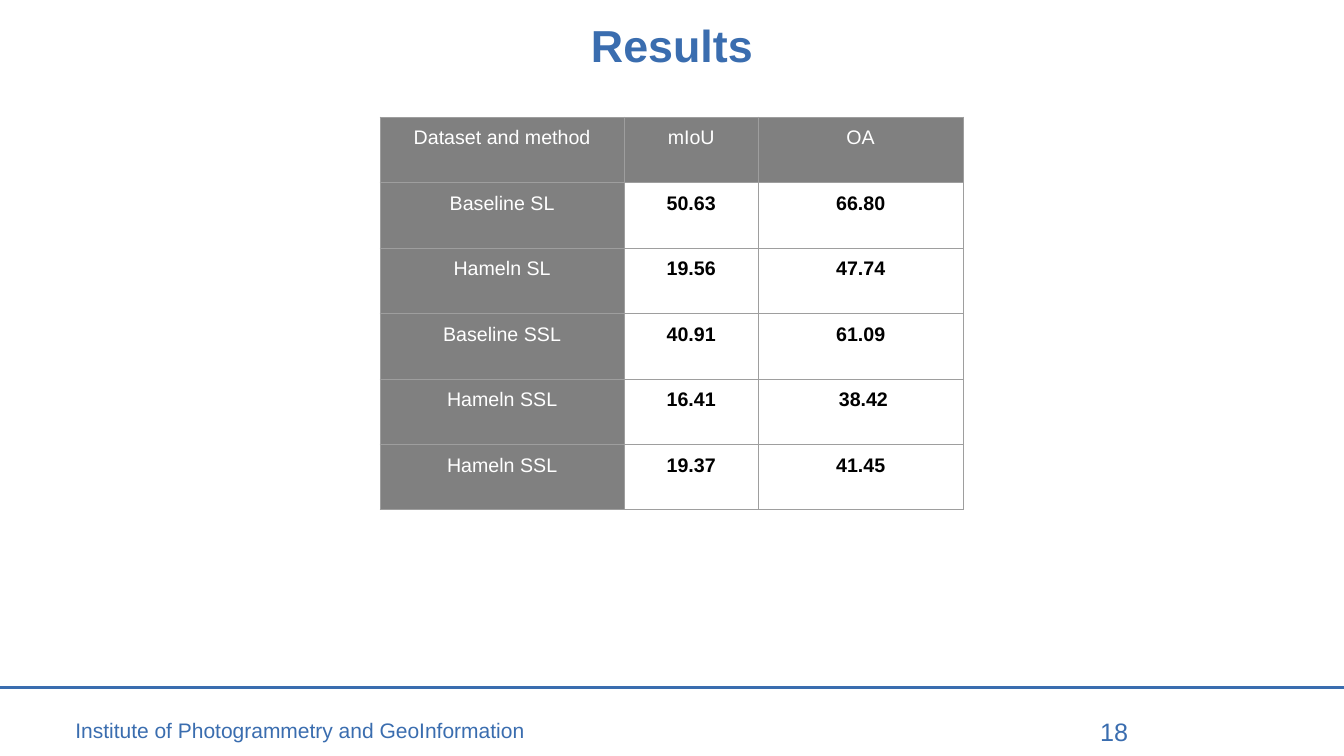
from lxml import etree
from pptx import Presentation
from pptx import util as u
from pptx.dml.color import RGBColor
from pptx.enum import shapes, text
from pptx.oxml import ns

BLUE = RGBColor(0x3A, 0x6D, 0xAF)
GREY = RGBColor(0x80, 0x80, 0x80)
BORDER = RGBColor(0x9E, 0x9E, 0x9E)
WHITE = RGBColor(0xFF, 0xFF, 0xFF)
BLACK = RGBColor(0x00, 0x00, 0x00)

PAGE_WIDTH, PAGE_HEIGHT = 33.87, 19.05
COLUMN_WIDTHS = (6.15, 3.38, 5.16)
ROW_HEIGHT = 1.65
RESULTS = (
    ("Dataset and method", "mIoU", "OA"),
    ("Baseline SL", "50.63", "66.80"),
    ("Hameln SL", "19.56", "47.74"),
    ("Baseline SSL", "40.91", "61.09"),
    ("Hameln SSL", "16.41", " 38.42"),
    ("Hameln SSL", "19.37", "41.45"),
)


def add_span(frame, words, size, color, bold=False, align=text.PP_ALIGN.LEFT):
    """Write one run into the first paragraph of a text frame."""
    para = frame.paragraphs[0]
    para.alignment = align
    span = para.add_run()
    span.text = words
    span.font.name = "Arial"
    span.font.size = u.Pt(size)
    span.font.bold = bold
    span.font.color.rgb = color


def add_label(page, left, top, width, height, words, size, inset=(0.25, 0.13), **style):
    """Place a blue one-line text box."""
    frame = page.shapes.add_textbox(u.Cm(left), u.Cm(top), u.Cm(width), u.Cm(height)).text_frame
    frame.word_wrap = True
    frame.vertical_anchor = text.MSO_ANCHOR.MIDDLE
    frame.margin_left = frame.margin_right = u.Cm(inset[0])
    frame.margin_top = frame.margin_bottom = u.Cm(inset[1])
    add_span(frame, words, size, BLUE, **style)


def add_borders(cell):
    """Draw a thin line on all four sides of a cell."""
    properties = cell._tc.get_or_add_tcPr()
    for position, side in enumerate(("a:lnL", "a:lnR", "a:lnT", "a:lnB")):
        line = etree.Element(ns.qn(side), w=str(u.Pt(0.75)))
        fill = etree.SubElement(line, ns.qn("a:solidFill"))
        etree.SubElement(fill, ns.qn("a:srgbClr"), val=str(BORDER))
        properties.insert(position, line)


def add_results_table(page, left, top):
    """Place the table of scores with grey header row and column."""
    table = page.shapes.add_table(
        len(RESULTS), len(COLUMN_WIDTHS), u.Cm(left), u.Cm(top),
        u.Cm(sum(COLUMN_WIDTHS)), u.Cm(ROW_HEIGHT * len(RESULTS))).table
    table.first_row = table.horz_banding = False
    for column, width in zip(table.columns, COLUMN_WIDTHS):
        column.width = u.Cm(width)
    for row_index, row in enumerate(RESULTS):
        table.rows[row_index].height = u.Cm(ROW_HEIGHT)
        for column_index, words in enumerate(row):
            cell = table.cell(row_index, column_index)
            heading = row_index == 0 or column_index == 0
            cell.margin_left = cell.margin_right = u.Cm(0.25)
            cell.margin_top = cell.margin_bottom = u.Cm(0.25)
            if heading:
                cell.fill.solid()
                cell.fill.fore_color.rgb = GREY
            else:
                cell.fill.background()
            add_borders(cell)
            add_span(cell.text_frame, words, 14, WHITE if heading else BLACK,
                     bold=not heading, align=text.PP_ALIGN.CENTER)


def add_footer(page, top):
    """Place the rule, the institute name and the page number."""
    rule = page.shapes.add_connector(
        shapes.MSO_CONNECTOR.STRAIGHT, 0, u.Cm(top), u.Cm(PAGE_WIDTH), u.Cm(top))
    rule.line.color.rgb = BLUE
    rule.line.width = u.Pt(2)
    etree.SubElement(rule._element.spPr, ns.qn("a:effectLst"))
    add_label(page, 1.9, top + 0.77, 11.9, 0.64,
              "Institute of Photogrammetry and GeoInformation", 15, inset=(0, 0))
    add_label(page, 24.31, top + 0.59, 4.37, 1.02, "18", 18, align=text.PP_ALIGN.RIGHT)


def main():
    """Build the results slide and save it."""
    deck = Presentation()
    deck.slide_width, deck.slide_height = u.Cm(PAGE_WIDTH), u.Cm(PAGE_HEIGHT)
    page = deck.slides.add_slide(deck.slide_layouts[6])
    add_footer(page, 17.32)
    add_results_table(page, 9.58, 2.95)
    add_label(page, 1, 0.43, 31.87, 1.37, "Results", 32, bold=True, align=text.PP_ALIGN.CENTER)
    deck.save("out.pptx")


if __name__ == "__main__":
    main()
